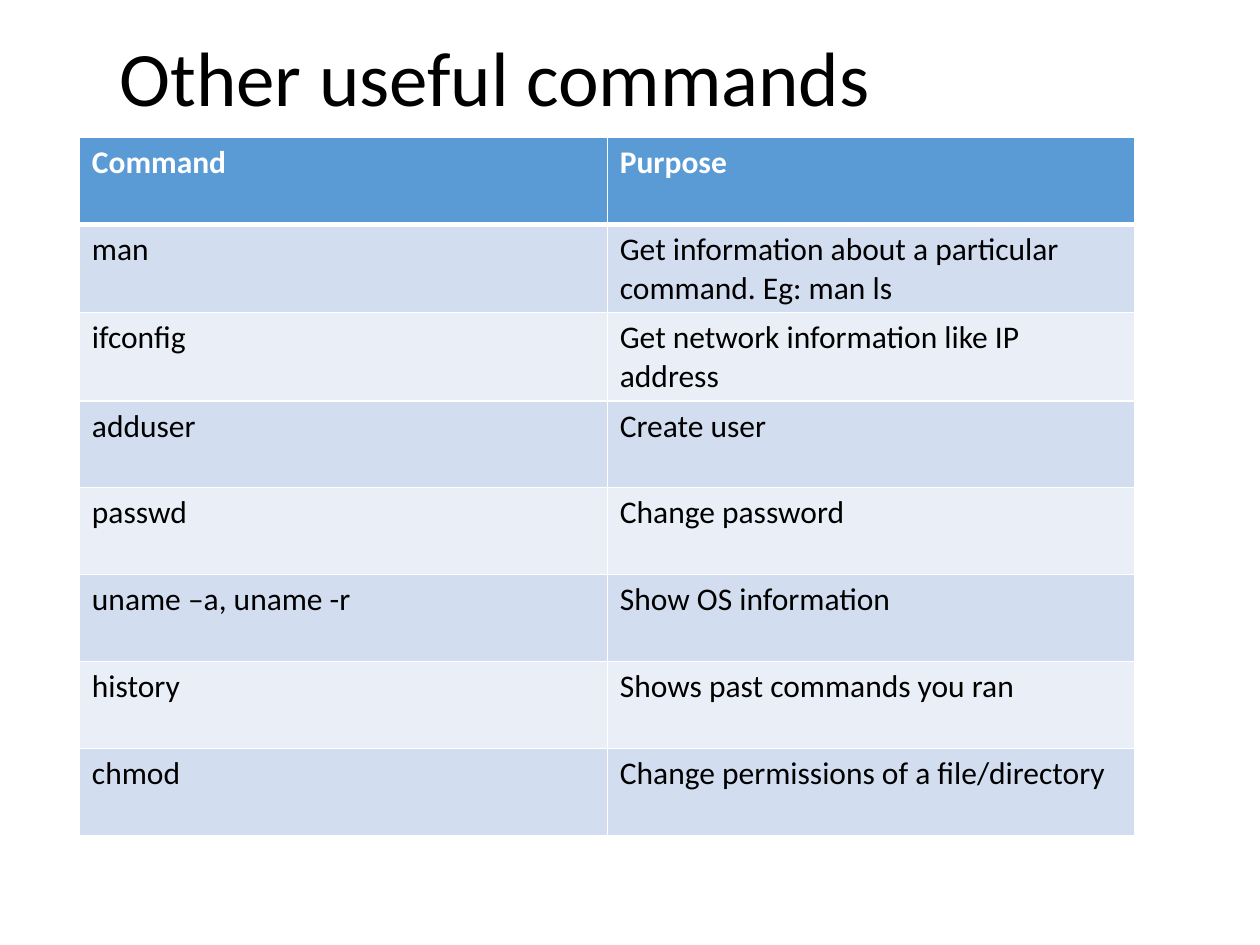
import pptx
import pptx.util
import pptx.dml.color
import pptx.enum.text
import pptx.oxml.ns
from lxml import etree

Inches, Pt = pptx.util.Inches, pptx.util.Pt
RGBColor = pptx.dml.color.RGBColor

TITLE = "Other useful commands"
ROWS = [
    ("Command", "Purpose"),
    ("man", "Get information about a particular command. Eg: man ls"),
    ("ifconfig", "Get network information like IP address"),
    ("adduser", "Create user"),
    ("passwd", "Change password"),
    ("uname –a, uname -r", "Show OS information"),
    ("history", "Shows past commands you ran"),
    ("chmod", "Change permissions of a file/directory"),
]

BLACK = RGBColor(0x00, 0x00, 0x00)
WHITE = RGBColor(0xFF, 0xFF, 0xFF)
BLUE = RGBColor(0x5B, 0x9B, 0xD5)
BANDS = [RGBColor(0xEA, 0xEF, 0xF7), RGBColor(0xD2, 0xDE, 0xEF)]

HEAD = {"name": "Calibri", "size": Pt(44), "bold": False}
TOP = {"name": "Calibri", "size": Pt(18), "bold": True}
BODY = {**TOP, "bold": False}
COL, ROW = Inches(4.19), Inches(0.69)


def style(font, form, color):
    for key, value in form.items():
        setattr(font, key, value)
    font.color.rgb = color


def edge(cell, side, width):
    qn = pptx.oxml.ns.qn
    line = etree.SubElement(cell._tc.get_or_add_tcPr(), qn(f"a:ln{side}"), w=str(Pt(width)))
    fill = etree.SubElement(line, qn("a:solidFill"))
    etree.SubElement(fill, qn("a:srgbClr"), val=str(WHITE))


def main():
    deck = pptx.Presentation()
    deck.slide_width, deck.slide_height = Inches(10), Inches(7.5)
    slide = deck.slides.add_slide(deck.slide_layouts[6])

    box = slide.shapes.add_textbox(Inches(0.85), Inches(-0.08), Inches(8.62), Inches(1.45))
    frame = box.text_frame
    frame.word_wrap = True
    frame.vertical_anchor = pptx.enum.text.MSO_ANCHOR.MIDDLE
    para = frame.paragraphs[0]
    para.text = TITLE
    para.line_spacing = 0.9
    style(para.runs[0].font, HEAD, BLACK)

    count = len(ROWS)
    table = slide.shapes.add_table(
        count, 2, Inches(0.63), Inches(1.09), COL * 2, ROW * count
    ).table
    for col in table.columns:
        col.width = COL
    for i, texts in enumerate(ROWS):
        table.rows[i].height = ROW
        for j, text in enumerate(texts):
            cell = table.cell(i, j)
            cell.text = text
            for side in "LRTB":
                thick = (i, side) in ((0, "B"), (1, "T"))
                edge(cell, side, 3 if thick else 1)
            cell.fill.solid()
            cell.fill.fore_color.rgb = BANDS[i % 2] if i else BLUE
            font = cell.text_frame.paragraphs[0].runs[0].font
            style(font, BODY if i else TOP, BLACK if i else WHITE)

    deck.save("out.pptx")


if __name__ == "__main__":
    main()
